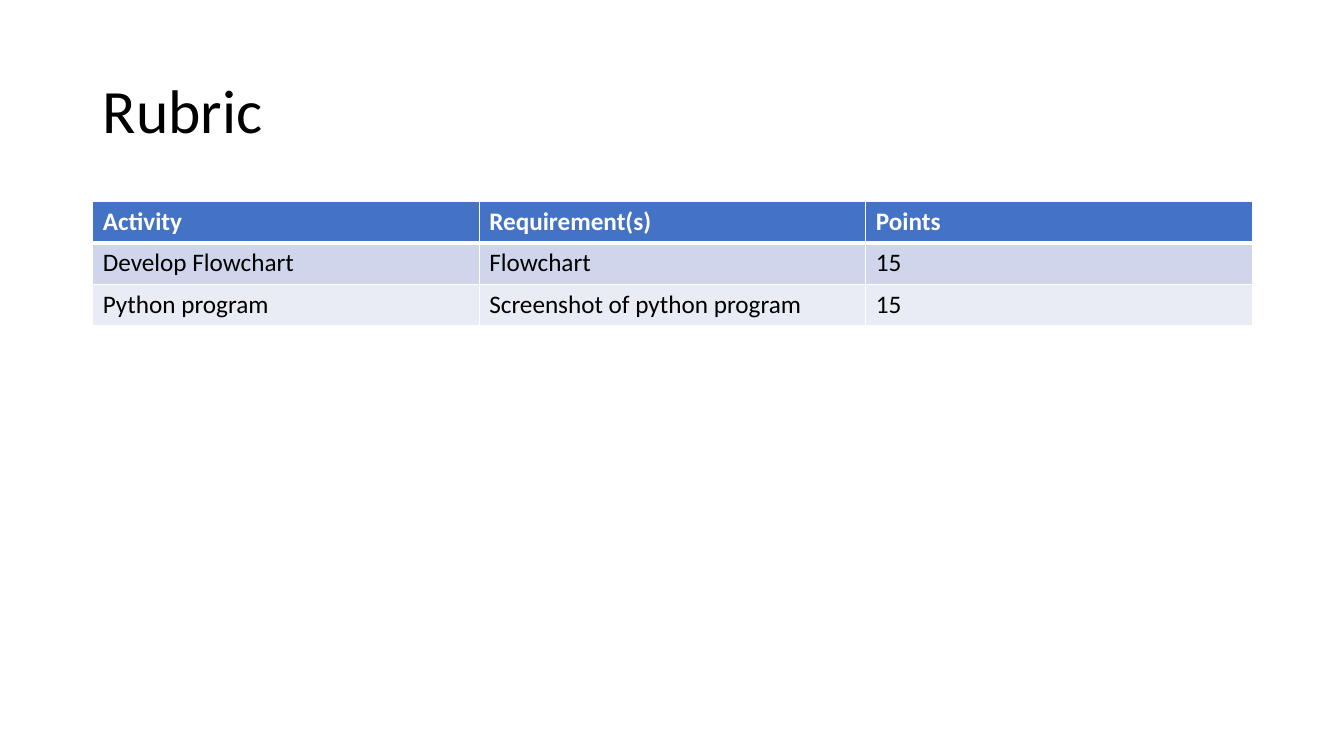
from lxml import etree
from pptx import Presentation
from pptx.dml.color import RGBColor
from pptx.enum.text import MSO_ANCHOR
from pptx.oxml.ns import qn
from pptx.util import Inches, Pt

FONT = "Calibri"
BLACK = RGBColor(0x00, 0x00, 0x00)
WHITE = RGBColor(0xFF, 0xFF, 0xFF)
HEADER_BLUE = RGBColor(0x44, 0x72, 0xC4)
BAND_DARK = RGBColor(0xCF, 0xD5, 0xEA)
BAND_LIGHT = RGBColor(0xE9, 0xEB, 0xF5)

LEFT, WIDTH = Inches(0.92), Inches(11.5)
ROW_HEIGHT = Inches(0.41)
RUBRIC = [
    ("Activity", "Requirement(s)", "Points"),
    ("Develop Flowchart", "Flowchart", "15"),
    ("Python program", "Screenshot of python program", "15"),
]
ROW_FILLS = [HEADER_BLUE, BAND_DARK, BAND_LIGHT]


def add_run(paragraph, text, size, color, bold=False):
    run = paragraph.add_run()
    run.text = text
    run.font.name = FONT
    run.font.size = Pt(size)
    run.font.bold = bold
    run.font.color.rgb = color


def add_border(cell, side, width):
    properties = cell._tc.get_or_add_tcPr()
    line = etree.SubElement(properties, qn(f"a:{side}"), w=str(Pt(width)))
    fill = etree.SubElement(line, qn("a:solidFill"))
    etree.SubElement(fill, qn("a:srgbClr"), val=str(WHITE))


presentation = Presentation()
presentation.slide_width = Inches(13.33)
presentation.slide_height = Inches(7.5)
slide = presentation.slides.add_slide(presentation.slide_layouts[6])

title = slide.shapes.add_textbox(LEFT, Inches(0.4), WIDTH, Inches(1.45))
title.text_frame.word_wrap = True
title.text_frame.vertical_anchor = MSO_ANCHOR.MIDDLE
title_paragraph = title.text_frame.paragraphs[0]
title_paragraph.line_spacing = 0.9
add_run(title_paragraph, "Rubric", 44, BLACK)

table = slide.shapes.add_table(
    len(RUBRIC), len(RUBRIC[0]), LEFT, Inches(2), WIDTH, ROW_HEIGHT * len(RUBRIC)
).table

for row_index, (texts, row_fill) in enumerate(zip(RUBRIC, ROW_FILLS)):
    is_header = row_index == 0
    table.rows[row_index].height = ROW_HEIGHT
    for column_index, text in enumerate(texts):
        cell = table.cell(row_index, column_index)
        add_border(cell, "lnL", 1)
        add_border(cell, "lnR", 1)
        add_border(cell, "lnT", 3 if row_index == 1 else 1)
        add_border(cell, "lnB", 3 if is_header else 1)
        cell.fill.solid()
        cell.fill.fore_color.rgb = row_fill
        add_run(cell.text_frame.paragraphs[0], text, 18,
                WHITE if is_header else BLACK, is_header)

presentation.save("out.pptx")
